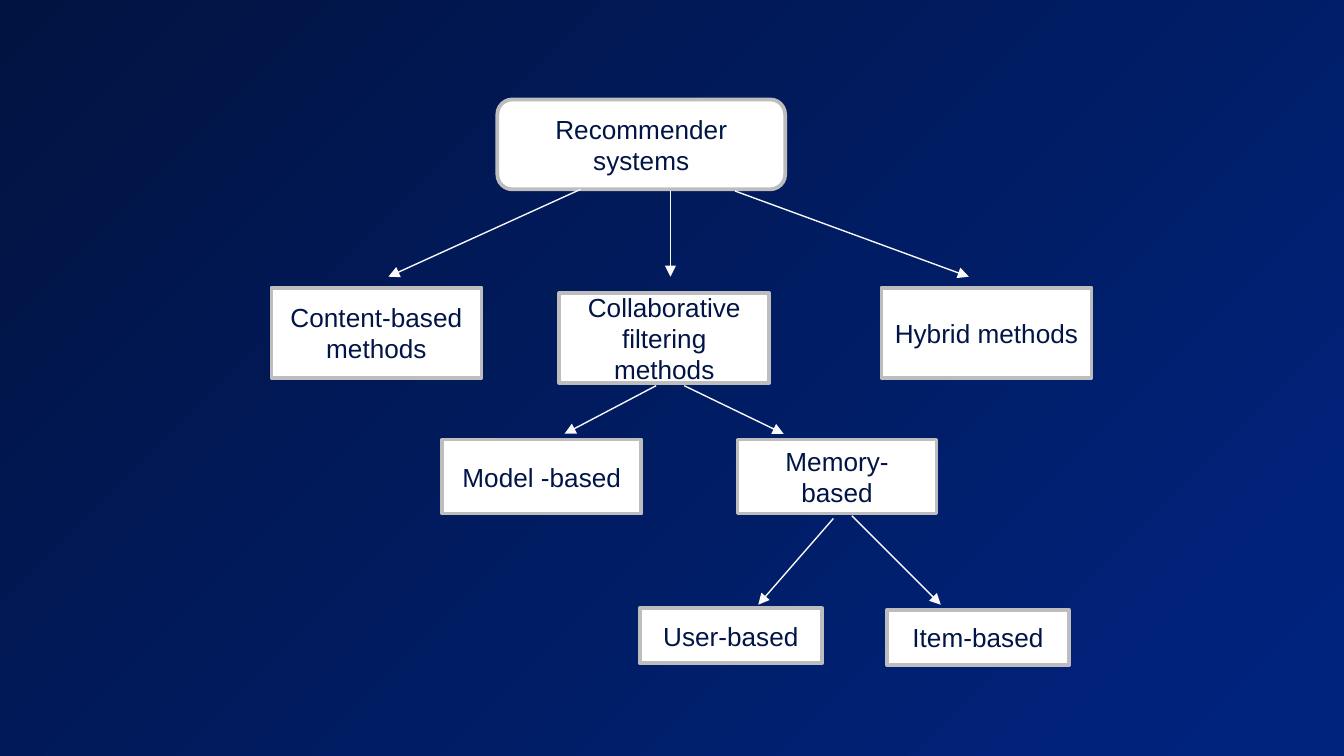
from dataclasses import dataclass

from lxml.etree import SubElement
from pptx import Presentation
from pptx.dml.color import RGBColor
from pptx.enum.shapes import MSO_CONNECTOR, MSO_SHAPE
from pptx.enum.text import MSO_ANCHOR, PP_ALIGN
from pptx.oxml.ns import qn
from pptx.util import Cm, Pt


@dataclass(frozen=True)
class Theme:
    glow: RGBColor = RGBColor(0x00, 0x23, 0x7D)
    night: RGBColor = RGBColor(0x01, 0x13, 0x41)
    box: RGBColor = RGBColor(0xFF, 0xFF, 0xFF)
    border: RGBColor = RGBColor(0xBD, 0xBD, 0xBD)
    text: RGBColor = RGBColor(0x01, 0x14, 0x46)
    arrow: RGBColor = RGBColor(0xF9, 0xF9, 0xF9)
    font: str = "Arial"
    text_size: Pt = Pt(14)
    border_width: Pt = Pt(2)
    arrow_width: Pt = Pt(0.75)


theme = Theme()

presentation = Presentation()
presentation.slide_width = Cm(25.4)
presentation.slide_height = Cm(14.29)
slide = presentation.slides.add_slide(presentation.slide_layouts[6])

background = slide.background.fill
background.gradient()
for stop, color, position in zip(
    background.gradient_stops, (theme.glow, theme.night), (0.05, 1)
):
    stop.color.rgb = color
    stop.position = position

gradient = slide.element.find(".//" + qn("a:gradFill"))
night_color = gradient.findall(".//" + qn("a:srgbClr"))[-1]
SubElement(night_color, qn("a:alpha"), val="92000")
gradient.remove(gradient.find(qn("a:lin")))
circle = SubElement(gradient, qn("a:path"), path="circle")
SubElement(circle, qn("a:fillToRect"), l="100000", t="100000")

levels = [
    (MSO_SHAPE.ROUNDED_RECTANGLE, 5.44, 1.7, [("Recommender systems", 9.4, 1.88)]),
    (MSO_SHAPE.RECTANGLE, 3.97, 1.7, [
        ("Content-based methods", 5.13, 5.44),
        ("Collaborative filtering methods", 10.57, 5.54),
        ("Hybrid methods", 16.66, 5.44),
    ]),
    (MSO_SHAPE.RECTANGLE, 3.76, 1.4, [
        ("Model -based", 8.36, 8.31),
        ("Memory-based", 13.94, 8.31),
    ]),
    (MSO_SHAPE.RECTANGLE, 3.45, 1.04, [
        ("User-based", 12.09, 11.5),
        ("Item-based", 16.76, 11.53),
    ]),
]

for outline, width, height, boxes in levels:
    for label, left, top in boxes:
        shape = slide.shapes.add_shape(outline, Cm(left), Cm(top), Cm(width), Cm(height))
        shape.shadow.inherit = False
        shape.fill.solid()
        shape.fill.fore_color.rgb = theme.box
        shape.line.color.rgb = theme.border
        shape.line.width = theme.border_width
        frame = shape.text_frame
        frame.word_wrap = True
        frame.vertical_anchor = MSO_ANCHOR.MIDDLE
        frame.text = label
        paragraph = frame.paragraphs[0]
        paragraph.alignment = PP_ALIGN.CENTER
        paragraph.font.name = theme.font
        paragraph.font.size = theme.text_size
        paragraph.font.color.rgb = theme.text

arrows = [
    (10.97, 3.58, 7.34, 5.23),
    (12.67, 3.61, 12.67, 5.23),
    (13.89, 3.61, 18.31, 5.23),
    (12.4, 7.29, 10.67, 8.2),
    (12.93, 7.29, 14.81, 8.2),
    (15.75, 9.8, 14.33, 11.43),
    (16.1, 9.75, 17.78, 11.43),
]

for ends in arrows:
    arrow = slide.shapes.add_connector(MSO_CONNECTOR.STRAIGHT, *map(Cm, ends))
    arrow.line.color.rgb = theme.arrow
    arrow.line.width = theme.arrow_width
    SubElement(arrow.line._get_or_add_ln(), qn("a:tailEnd"), type="triangle")
    SubElement(arrow._element.spPr, qn("a:effectLst"))

presentation.save("out.pptx")
